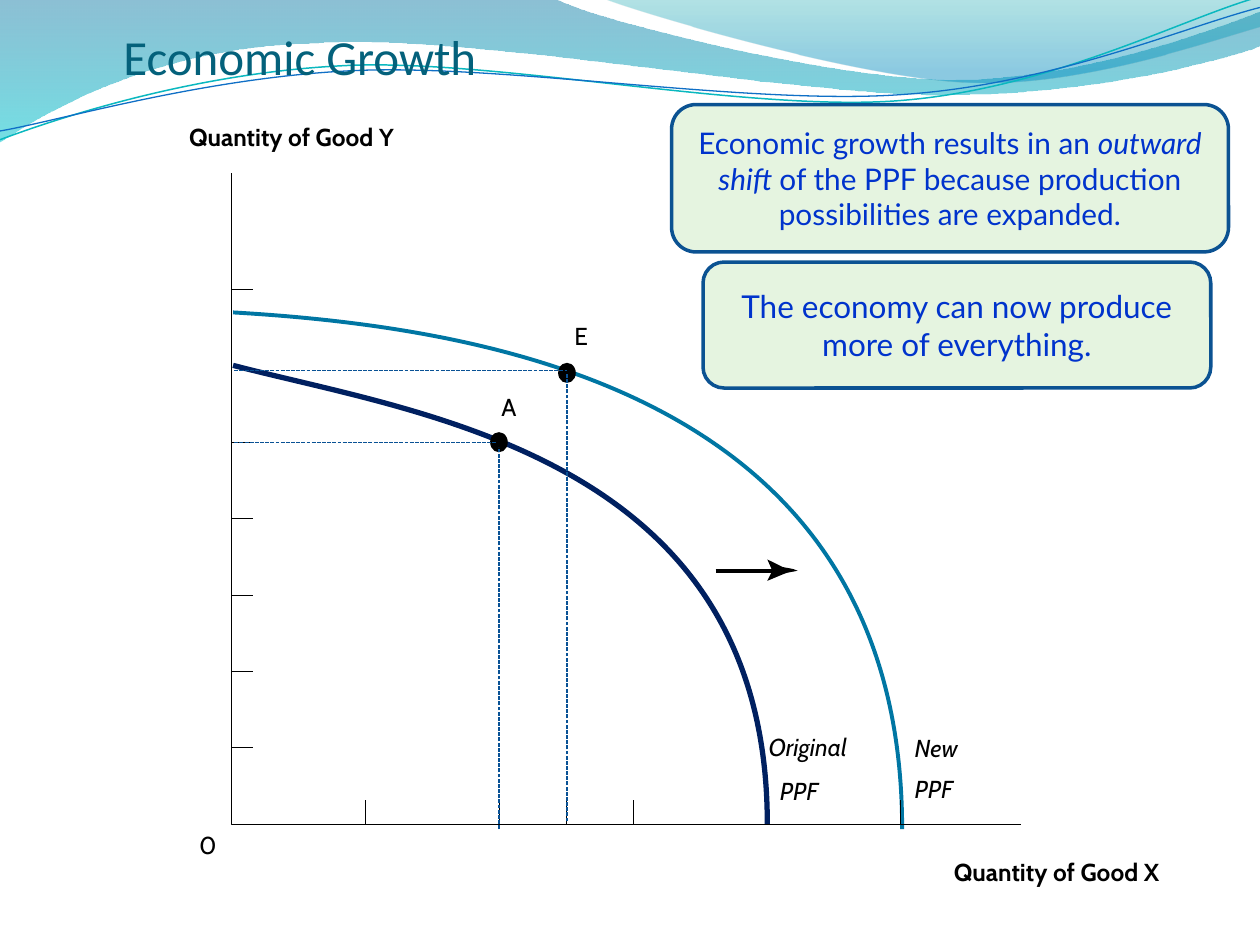
import dataclasses
import math

import pptx
import pptx.dml.color
import pptx.enum.dml
import pptx.enum.shapes
import pptx.enum.text
import pptx.oxml
import pptx.oxml.ns
import pptx.util
from pptx.util import Inches


@dataclasses.dataclass(frozen=True)
class Theme:
    """Colours, typefaces and sizes in points."""
    title: str = "04617B"
    ink: str = "000000"
    new_curve: str = "0076A3"
    original_curve: str = "002060"
    guide: str = "095295"
    callout_fill: str = "E5F4E0"
    callout_line: str = "0B5292"
    callout_text: str = "0033CC"
    band: tuple = ((0, "0074A1", 45), (100, "00C6CF", 55))
    crest: tuple = ((0, "00A1A9", 30), (80, "008BBF", 45))
    ripples: tuple = (("0AB8BF", 0.85), ("0F6FC6", 0.75))
    title_font: str = "Calibri"
    label_font: str = "Cabin"
    callout_font: str = "Lato"
    title_size: int = 28
    label_size: int = 14
    hairline: float = 0.5


THEME = Theme()


@dataclasses.dataclass(frozen=True)
class Box:
    """A region of the slide in inches."""
    left: float
    top: float
    width: float
    height: float

    def down(self, x, y):
        """Return the slide point x right of and y below the top left corner."""
        return self.left + x, self.top + y

    def up(self, x, y):
        """Return the slide point x right of and y above the bottom left corner."""
        return self.left + x, self.top + self.height - y

    def turned(self, x, y, degrees):
        """Return the point below the top left corner, turned clockwise about the centre."""
        angle = math.radians(degrees)
        dx, dy = x - self.width / 2, y - self.height / 2
        return self.down(self.width / 2 + dx * math.cos(angle) - dy * math.sin(angle),
                         self.height / 2 + dx * math.sin(angle) + dy * math.cos(angle))

    def lengths(self):
        """Return the four sides as lengths."""
        return [Inches(side) for side in dataclasses.astuple(self)]


def rgb(code):
    """Return the colour for a hex code."""
    return pptx.dml.color.RGBColor.from_string(code)


def xml(tag, attributes=""):
    """Return an empty drawing element."""
    return pptx.oxml.parse_xml(f'<a:{tag} {pptx.oxml.ns.nsdecls("a")} {attributes}/>')


def stroke(line, colour, width):
    """Give a line its colour and width."""
    line.color.rgb = rgb(colour)
    line.width = pptx.util.Pt(width)


def paint(shape, colour):
    """Fill a shape with one colour and remove its shadow."""
    shape.shadow.inherit = False
    shape.fill.solid()
    shape.fill.fore_color.rgb = rgb(colour)


def style(run, font, size, colour, bold=False, italic=False):
    """Format one run."""
    run.font.name = font
    run.font.size = pptx.util.Pt(size)
    run.font.color.rgb = rgb(colour)
    run.font.bold = bold
    run.font.italic = italic


def add_outline(slide, place, start, *segments, closed=False):
    """Draw a freeform from one-point straight and three-point cubic segments."""
    points = [start, *(point for segment in segments for point in segment)]
    first, *rest = [tuple(Inches(v) for v in place(*point)) for point in points]
    builder = slide.shapes.build_freeform(*first)
    builder.add_line_segments(rest, close=closed)
    outline = builder.convert_to_shape()
    sides = iter(list(outline.element.iter(pptx.oxml.ns.qn("a:lnTo"))))
    for segment in segments:
        legs = [next(sides) for _ in segment]
        if len(legs) == 3:
            curve = xml("cubicBezTo")
            legs[0].addprevious(curve)
            for leg in legs:
                curve.append(leg[0])
                leg.getparent().remove(leg)
    outline.shadow.inherit = False
    (outline.line.fill if closed else outline.fill).background()
    return outline


def add_rule(slide, begin, end, colour, width, dashed=False):
    """Draw a straight connector between two slide points."""
    rule = slide.shapes.add_connector(
        pptx.enum.shapes.MSO_CONNECTOR.STRAIGHT, *[Inches(v) for v in (*begin, *end)])
    stroke(rule.line, colour, width)
    if dashed:
        rule.line.dash_style = pptx.enum.dml.MSO_LINE.SQUARE_DOT
    rule.element.spPr.append(xml("effectLst"))


def add_gradient(shape, stops):
    """Fill a shape from top to bottom with translucent colours."""
    shape.fill.gradient()
    shape.fill.gradient_angle = 270
    for stop, (position, colour, _) in zip(shape.fill.gradient_stops, stops):
        stop.position = position / 100
        stop.color.rgb = rgb(colour)
    tints = shape.element.spPr.iter(pptx.oxml.ns.qn("a:srgbClr"))
    for tint, (_, _, opacity) in zip(tints, stops):
        tint.append(xml("alpha", f'val="{opacity * 1000}"'))


def add_waves(slide, box):
    """Draw the banner of waves across the top."""
    band = add_outline(
        slide, box.down, (0, 0), [(4.4, -0.01)],
        [(4.76, 0.17), (6.64, 0.63), (7.58, 0.63)], [(8.53, 0.63), (9.58, 0.26), (10, 0.09)],
        [(10.01, 0.36)], [(9.83, 0.44), (8.7, 0.76), (7.46, 0.75)],
        [(6.22, 0.75), (3.82, 0.28), (2.57, 0.34)], [(1.29, 0.36), (0.46, 0.83), (-0.01, 1.13)],
        [(0, 0)], closed=True)
    add_gradient(band, THEME.band)
    crest = add_outline(
        slide, box.down, (4.79, -0.01), [(5.09, 0.11), (6.82, 0.62), (7.69, 0.65)],
        [(8.56, 0.69), (9.61, 0.32), (10, 0.21)], [(10, 0)], [(4.79, -0.01)], closed=True)
    add_gradient(crest, THEME.crest)
    courses = (
        ((0, 1.11), [(0.48, 0.93), (1.58, 0.57), (2.77, 0.52)],
         [(3.95, 0.47), (5.93, 0.89), (7.13, 0.8)], [(8.33, 0.71), (9.38, 0.15), (9.98, -0.02)]),
        ((0, 1.04), [(0.47, 0.96), (1.64, 0.61), (2.83, 0.56)],
         [(4.03, 0.51), (5.97, 0.84), (7.17, 0.75)], [(8.36, 0.67), (9.41, 0.21), (10, 0.06)]))
    tilt = 2.7
    for course, look in zip(courses, THEME.ripples):
        ripple = add_outline(slide, lambda x, y: box.turned(x, y, tilt), *course)
        ripple.rotation = 360 - tilt
        stroke(ripple.line, *look)


def add_text(slide, box, text, font, size, colour, **emphasis):
    """Place one line of text without margins."""
    frame = slide.shapes.add_textbox(*box.lengths()).text_frame
    frame.margin_left = frame.margin_right = frame.margin_top = frame.margin_bottom = 0
    frame.word_wrap = False
    frame.text = text
    style(frame.paragraphs[0].runs[0], font, size, colour, **emphasis)
    return frame


def add_title(slide, box):
    """Write the slide title at the foot of its box."""
    frame = add_text(slide, box, "Economic Growth", THEME.title_font,
                     THEME.title_size, THEME.title)
    frame.word_wrap = True
    frame.margin_top = Inches(0.05)
    frame.vertical_anchor = pptx.enum.text.MSO_ANCHOR.BOTTOM


def add_plot(slide, box):
    """Draw the axes, both frontiers, the marked points and their labels."""
    new = add_outline(slide, box.up, (0.01, 4.06), [(2.25, 3.93), (5.32, 3.32), (5.32, -0.04)])
    stroke(new.line, THEME.new_curve, 2.25)
    x_step, y_step = 5.31 / 5, 4.24 / 7
    for count in (1, 2, 3, 4, 5, 7):
        height = count * y_step
        add_rule(slide, box.up(0, height), box.up(0.17, height), THEME.ink, THEME.hairline)
    for count in (1, 2, 2.5, 3, 4, 5):
        reach = count * x_step
        add_rule(slide, box.up(reach, 0), box.up(reach, 0.19), THEME.ink, THEME.hairline)
    original = add_outline(slide, box.up, (0.01, 3.64), [(1.5, 3.25), (4.25, 2.92), (4.25, 0)])
    stroke(original.line, THEME.original_curve, 3)
    axes = add_outline(slide, box.up, (box.width, 0), [(0, 0)], [(0, box.height)])
    stroke(axes.line, THEME.ink, THEME.hairline)

    for x, y, level, reach, foot, peak in ((2.12, 3.03, 3.03, 2.1, -0.04, 2.99),
                                           (2.66, 3.58, 3.6, 2.66, 0.02, 3.58)):
        marker = slide.shapes.add_shape(pptx.enum.shapes.MSO_SHAPE.OVAL,
                                        *Box(*box.up(x - 0.07, y + 0.08), 0.14, 0.16).lengths())
        paint(marker, THEME.ink)
        marker.line.fill.background()
        for begin, end in (((0.02, level), (reach, level)), ((x, foot), (x, peak))):
            add_rule(slide, box.up(*begin), box.up(*end), THEME.guide, 0.75, dashed=True)

    add_rule(slide, box.up(3.84, 2.01), box.up(4.3, 2.01), THEME.ink, 2.25)
    head = add_outline(slide, box.up, (4.29, 2.01), [(4.25, 2.1)], [(4.37, 2.04)],
                       [(4.41, 2.03), (4.45, 2.03), (4.49, 2.01)],
                       [(4.45, 2), (4.41, 2), (4.37, 1.98)], [(4.25, 1.93)], closed=True)
    paint(head, THEME.ink)

    bold, italic = {"bold": True}, {"italic": True}
    for text, x, y, width, emphasis in (
            ("A", 2.14, 3.43, 0.12, {}), ("E", 2.72, 3.99, 0.1, {}),
            ("0", -0.26, -0.05, 0.1, {}),
            ("New", 5.42, 0.72, 0.39, italic), ("PPF", 5.42, 0.4, 0.38, italic),
            ("Original", 4.26, 0.73, 0.68, italic), ("PPF", 4.35, 0.38, 0.38, italic),
            ("Quantity of Good Y", -0.34, 5.57, 1.78, bold),
            ("Quantity of Good X", 5.73, -0.26, 1.78, bold)):
        label = add_text(slide, Box(*box.up(x, y), width, 0.24), text, THEME.label_font,
                         THEME.label_size, THEME.ink, **emphasis)
        label.auto_size = pptx.enum.text.MSO_AUTO_SIZE.SHAPE_TO_FIT_TEXT


def add_callout(slide, box, size, *parts):
    """Draw a rounded callout from (text, italic) parts."""
    callout = slide.shapes.add_shape(
        pptx.enum.shapes.MSO_SHAPE.ROUNDED_RECTANGLE, *box.lengths())
    paint(callout, THEME.callout_fill)
    stroke(callout.line, THEME.callout_line, 2)
    callout.text_frame.word_wrap = True
    callout.text_frame.vertical_anchor = pptx.enum.text.MSO_ANCHOR.MIDDLE
    message = callout.text_frame.paragraphs[0]
    message.alignment = pptx.enum.text.PP_ALIGN.CENTER
    for text, italic in parts:
        run = message.add_run()
        run.text = text
        style(run, THEME.callout_font, size, THEME.callout_text, italic=italic)


def main():
    """Build and save the slide."""
    deck = pptx.Presentation()
    deck.slide_width, deck.slide_height = Inches(10), Inches(7.5)
    slide = deck.slides.add_slide(deck.slide_layouts[6])
    add_waves(slide, Box(0, 0, 10, 1.13))
    add_title(slide, Box(0.98, 0.07, 8.76, 0.61))
    add_plot(slide, Box(1.84, 1.37, 6.26, 5.17))
    add_callout(slide, Box(5.33, 0.83, 4.42, 1.17), 17,
                ("Economic growth results in an ", False), ("outward shift ", True),
                ("of the PPF because production possibilities are expanded.", False))
    add_callout(slide, Box(5.58, 2.08, 4.03, 1), 18,
                ("The economy can now produce more of everything.", False))
    deck.save("out.pptx")


if __name__ == "__main__":
    main()
